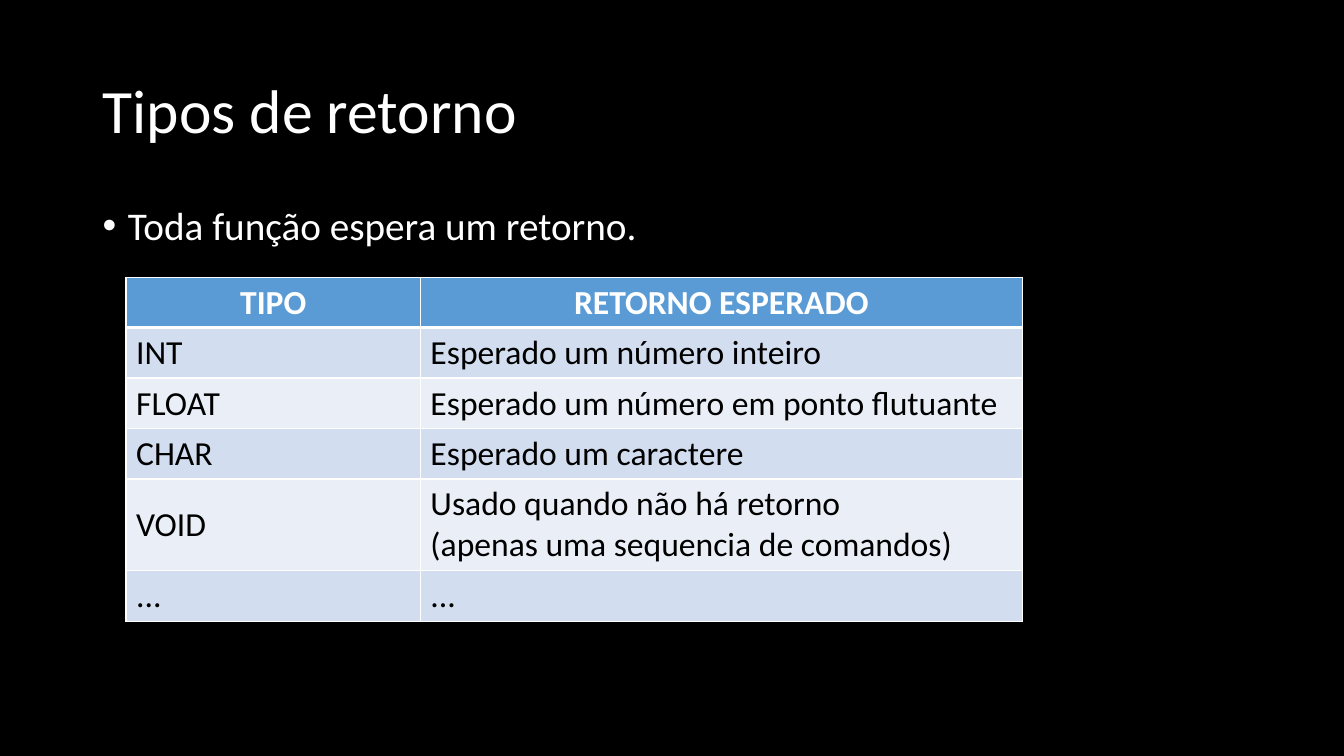
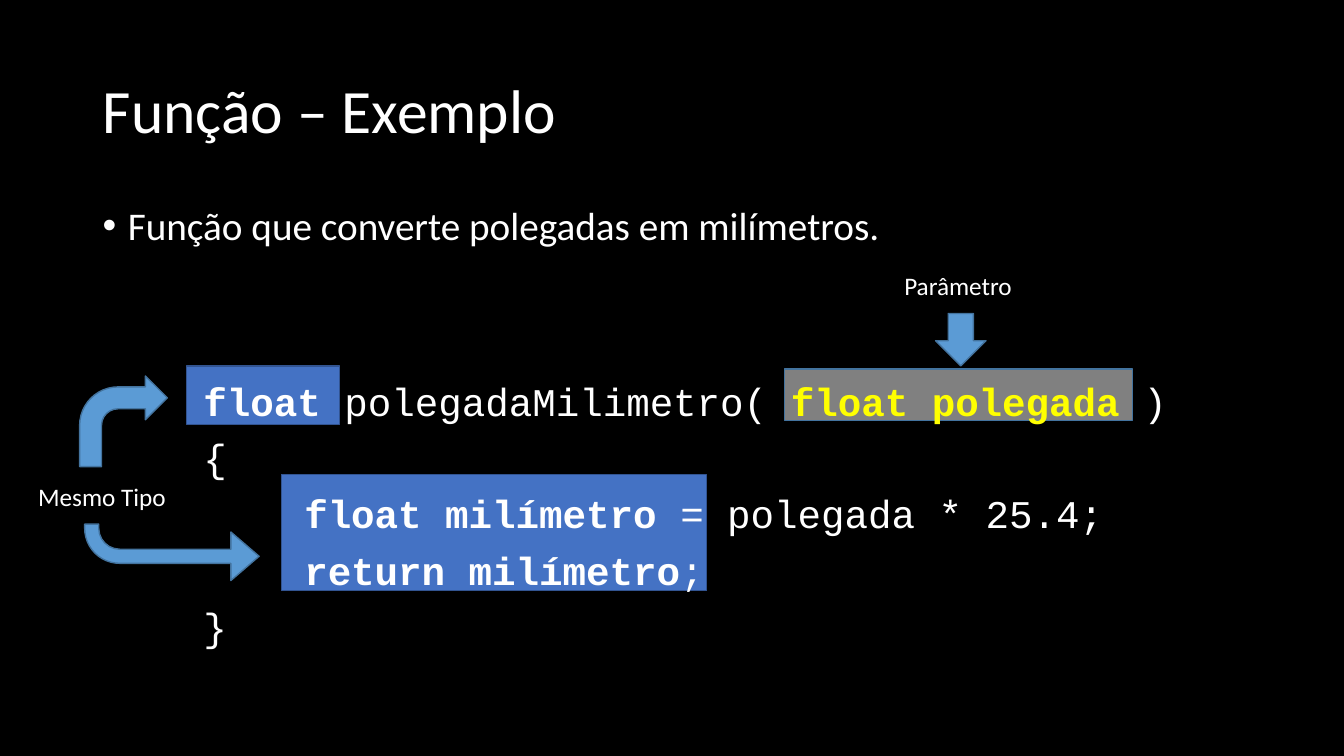
"""Builds two slides on function return types and a function example."""
from lxml.etree import SubElement
from pptx import Presentation
from pptx.dml.color import RGBColor
from pptx.enum.shapes import MSO_SHAPE
from pptx.enum.text import MSO_ANCHOR, MSO_AUTO_SIZE, PP_ALIGN
from pptx.oxml.ns import qn
from pptx.util import Inches, Pt

COLORS = {
    "black": "000000", "white": "FFFFFF", "yellow": "FFFF00", "gray": "808080",
    "royal": "4472C4", "royal_edge": "325491", "sky": "5B9BD5", "sky_edge": "43739E",
    "band_dark": "D2DEEF", "band_light": "EAEFF7",
}


def color(name):
    return RGBColor.from_string(COLORS[name])


def assign(target, values):
    for name, value in values.items():
        setattr(target, name, value)


class SlideWriter:
    """Holds the shared style and the slide being written."""

    def __init__(self):
        self.deck = Presentation()
        assign(self.deck, {"slide_width": Inches(13.33), "slide_height": Inches(7.5)})
        fill = self.deck.slide_master.background.fill
        fill.solid()
        fill.fore_color.rgb = color("black")
        self.page = None

    def start(self, title):
        self.page = self.deck.slides.add_slide(self.deck.slide_layouts[5])
        box = self.page.shapes.title
        self.place(box, 0.92, 0.4, 11.5, 1.45)
        assign(box.text_frame, {"vertical_anchor": MSO_ANCHOR.MIDDLE, "word_wrap": True,
                                "auto_size": MSO_AUTO_SIZE.NONE})
        para = box.text_frame.paragraphs[0]
        assign(para, {"alignment": PP_ALIGN.LEFT, "line_spacing": 0.9})
        self.span(para, title, size=44)

    def place(self, box, *position):
        names = ("left", "top", "width", "height")
        assign(box, dict(zip(names, map(Inches, position))))

    def span(self, para, text, size, tint="white", font="Calibri", bold=False):
        run = para.add_run()
        run.text = text
        assign(run.font, {"name": font, "size": Pt(size), "bold": bold})
        run.font.color.rgb = color(tint)

    def text_frame(self, position, wrap=True):
        box = self.page.shapes.add_textbox(*map(Inches, position))
        box.text_frame.word_wrap = wrap
        return box.text_frame

    def indent(self, para, margin, first=0):
        properties = para._p.get_or_add_pPr()
        properties.set("marL", str(Inches(margin)))
        properties.set("indent", str(Inches(first)))
        return properties

    def bullet(self, text):
        para = self.text_frame((0.92, 2, 11.5, 0.7)).paragraphs[0]
        assign(para, {"line_spacing": 0.9, "space_before": Pt(10)})
        properties = self.indent(para, 0.25, -0.25)
        SubElement(properties, qn("a:buFont")).set("typeface", "Arial")
        SubElement(properties, qn("a:buChar")).set("char", "•")
        self.span(para, text, size=28)

    def label(self, text, *position, wrap=True):
        self.span(self.text_frame(position, wrap).paragraphs[0], text, size=18)

    def code(self, lines, *position):
        frame = self.text_frame(position)
        for number, (margin, spans) in enumerate(lines):
            para = frame.add_paragraph() if number else frame.paragraphs[0]
            para.line_spacing = Pt(40.2)
            self.indent(para, margin)
            for text, style in spans:
                self.span(para, text, size=28, font="Courier New", **style)

    def shape(self, kind, position, fill="sky", edge="sky_edge", adjustments=(), flip=False):
        shape = self.page.shapes.add_shape(kind, *map(Inches, position))
        shape.shadow.inherit = False
        shape.fill.solid()
        shape.fill.fore_color.rgb = color(fill)
        shape.line.color.rgb = color(edge)
        shape.line.width = Pt(1)
        for number, value in enumerate(adjustments):
            shape.adjustments[number] = value
        if flip:
            shape._element.spPr.find(qn("a:xfrm")).set("flipV", "1")

    def borders(self, cell, widths):
        properties = cell._tc.get_or_add_tcPr()
        for side, width in widths.items():
            line = SubElement(properties, qn(f"a:ln{side}"), w=str(Pt(width)))
            fill = SubElement(line, qn("a:solidFill"))
            SubElement(fill, qn("a:srgbClr"), val=COLORS["white"])

    def table(self, rows, columns, heights, left, top):
        frame = self.page.shapes.add_table(
            len(rows), len(columns), Inches(left), Inches(top),
            Inches(sum(columns)), Inches(sum(heights)))
        table = frame.table
        for column, width in zip(table.columns, columns):
            column.width = Inches(width)
        for number, (row, height) in enumerate(zip(rows, heights)):
            table.rows[number].height = Inches(height)
            for cell, text in zip(table.rows[number].cells, row):
                self.cell(cell, text, number)

    def cell(self, cell, text, row):
        header = row == 0
        self.borders(cell, {"L": 1, "R": 1, "T": 3 if row == 1 else 1, "B": 3 if header else 1})
        cell.vertical_anchor = MSO_ANCHOR.MIDDLE
        cell.fill.solid()
        band = "band_dark" if row % 2 else "band_light"
        cell.fill.fore_color.rgb = color("sky" if header else band)
        for number, line in enumerate(text.split("\n")):
            frame = cell.text_frame
            para = frame.add_paragraph() if number else frame.paragraphs[0]
            para.alignment = PP_ALIGN.CENTER if header else PP_ALIGN.LEFT
            self.span(para, line, size=24, tint="white" if header else "black", bold=header)


def return_types(writer):
    writer.start("Tipos de retorno")
    writer.bullet("Toda função espera um retorno.")
    rows = [
        ("TIPO", "RETORNO ESPERADO"),
        ("INT", "Esperado um número inteiro"),
        ("FLOAT", "Esperado um número em ponto flutuante"),
        ("CHAR", "Esperado um caractere"),
        ("VOID", "Usado quando não há retorno\n(apenas uma sequencia de comandos)"),
        ("...", "..."),
    ]
    heights = [0.91 if "\n" in description else 0.5 for _, description in rows]
    writer.table(rows, (2.92, 5.97), heights, 1.25, 2.75)


def function_example(writer):
    writer.start("Função – Exemplo")
    writer.bullet("Função que converte polegadas em milímetros.")
    writer.shape(MSO_SHAPE.RECTANGLE, (7.78, 3.66, 3.45, 0.51), "gray")
    for position in ((1.85, 3.63, 1.52, 0.58), (2.79, 4.71, 4.22, 1.15)):
        writer.shape(MSO_SHAPE.RECTANGLE, position, "royal", "royal_edge")
    plain, strong = {}, {"bold": True}
    writer.code([
        (0, [("float ", strong), ("polegadaMilimetro( ", plain),
             ("float polegada ", {"bold": True, "tint": "yellow"}), (")", plain)]),
        (0, [("{", plain)]),
        (1, [("float milímetro ", strong), ("= polegada * 25.4;", plain)]),
        (1, [("return milímetro", strong), (";", plain)]),
        (0, [("}", plain)]),
    ], 1.92, 3.6, 10.5, 2.9)
    writer.label("Parâmetro", 8.87, 2.63, 1.28, 0.4, wrap=False)
    writer.shape(MSO_SHAPE.DOWN_ARROW, (9.28, 3.11, 0.5, 0.52))
    writer.label("Mesmo Tipo", 0.28, 4.73, 1.65, 0.4)
    writer.shape(MSO_SHAPE.BENT_ARROW, (0.79, 3.73, 0.87, 0.9))
    writer.shape(MSO_SHAPE.BENT_ARROW, (0.84, 5.2, 1.73, 0.56),
                 adjustments=(0.25, 0.43, 0.5, 0.62), flip=True)


def main():
    writer = SlideWriter()
    return_types(writer)
    function_example(writer)
    writer.deck.save("out.pptx")


if __name__ == "__main__":
    main()
